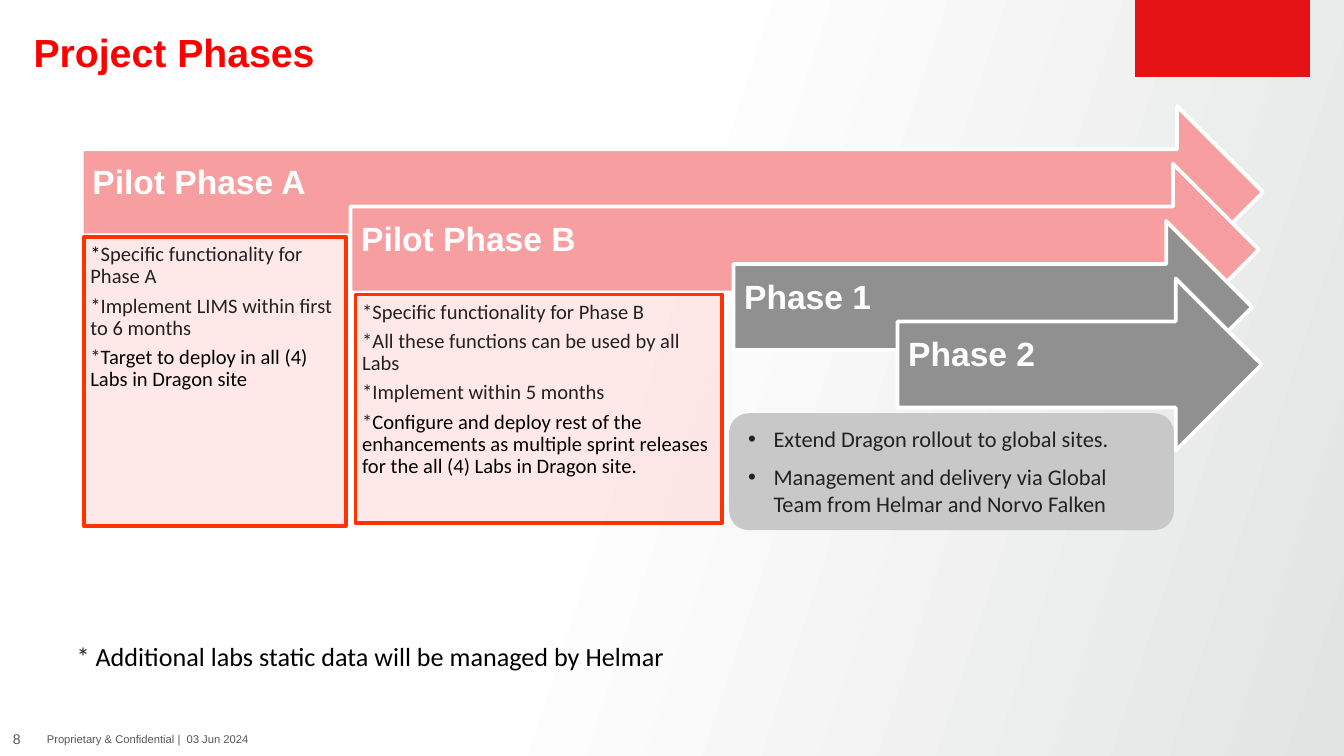
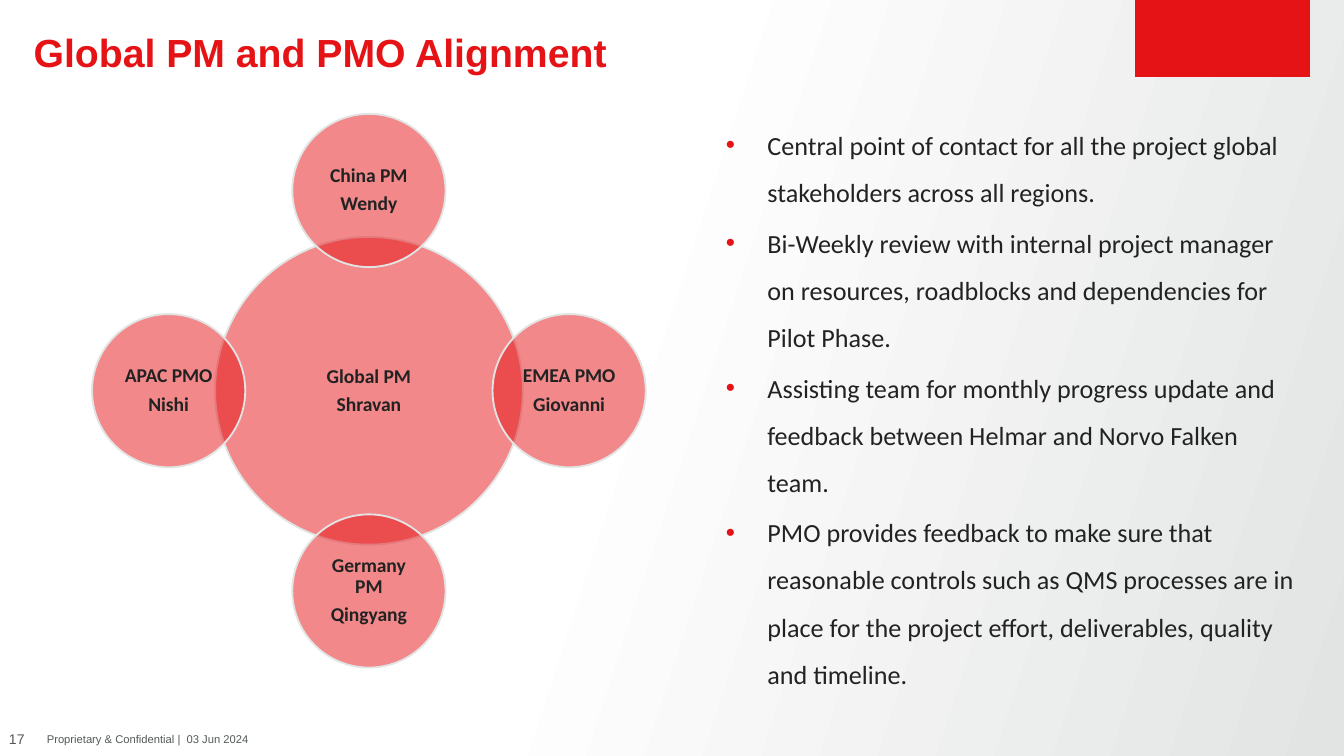
from copy import deepcopy
from dataclasses import dataclass

from lxml import etree
from pptx import Presentation
from pptx import util as u
from pptx.dml.color import RGBColor
from pptx.enum import shapes, text
from pptx.oxml import ns

COLS, ROWS = 40, 22.5
UNIT = u.Inches(0.25)

RED = RGBColor(0xE6, 0x13, 0x16)
PURE_RED = RGBColor(0xFF, 0x00, 0x00)
PINK = RGBColor(0xF7, 0x9F, 0xA0)
BLUSH = RGBColor(0xFF, 0xCC, 0xCC)
ORANGE = RGBColor(0xFF, 0x33, 0x00)
GREY = RGBColor(0x90, 0x90, 0x90)
SILVER = RGBColor(0xC8, 0xC8, 0xC8)
PALE = RGBColor(0xE2, 0xE3, 0xE3)
SLATE = RGBColor(0x54, 0x58, 0x59)
INK = RGBColor(0x22, 0x22, 0x22)
BLACK = RGBColor(0x00, 0x00, 0x00)
WHITE = RGBColor(0xFF, 0xFF, 0xFF)

HEADING, BODY = "Arial", "Calibri"
FOOTER = "Proprietary & Confidential |  03 Jun 2024"
LEFT, CENTER = text.PP_ALIGN.LEFT, text.PP_ALIGN.CENTER
TOP, MIDDLE = text.MSO_ANCHOR.TOP, text.MSO_ANCHOR.MIDDLE
SHAPE = shapes.MSO_SHAPE


@dataclass
class Box:
    x: float
    y: float
    w: float
    h: float

    def sub(self, x, y, w, h):
        return Box(self.x + x, self.y + y, w, h)

    def emu(self):
        return [int(v * UNIT) for v in (self.x, self.y, self.w, self.h)]


def place(sp, box):
    sp.left, sp.top, sp.width, sp.height = box.emu()


def add_bullet(p, indent, color):
    pPr = p._p.get_or_add_pPr()
    pPr.set("marL", str(u.Inches(indent)))
    pPr.set("indent", str(-u.Inches(indent)))
    clr = etree.SubElement(pPr, ns.qn("a:buClr"))
    etree.SubElement(clr, ns.qn("a:srgbClr")).set("val", str(color))
    etree.SubElement(pPr, ns.qn("a:buFont")).set("typeface", "Arial")
    etree.SubElement(pPr, ns.qn("a:buChar")).set("char", "•")


def write(sp, paras, size, color=INK, font=BODY, bold=False, align=LEFT,
          anchor=TOP, insets=(0, 0, 0, 0), wrap=True, line=1.0,
          before=0, after=0, indent=0, bullet=INK):
    tf = sp.text_frame
    tf.auto_size = text.MSO_AUTO_SIZE.NONE
    tf.word_wrap = wrap
    tf.vertical_anchor = anchor
    (tf.margin_left, tf.margin_top,
     tf.margin_right, tf.margin_bottom) = map(u.Inches, insets)
    for i, para in enumerate(paras):
        p = tf.paragraphs[0] if i == 0 else tf.add_paragraph()
        if indent:
            add_bullet(p, indent, bullet)
        p.alignment = align
        p.line_spacing = line
        p.space_before = u.Pt(before if i else 0)
        p.space_after = u.Pt(after)
        pieces = [(para, color)] if isinstance(para, str) else para
        for words, tint in pieces:
            r = p.add_run()
            r.text = words
            r.font.name, r.font.size, r.font.bold = font, u.Pt(size), bold
            r.font.color.rgb = tint


def add_text(s, box, paras, size, **style):
    write(s.shapes.add_textbox(*box.emu()), paras, size, **style)


def add_shape(s, kind, box, fill, line=None, width=1, alpha=None):
    sp = s.shapes.add_shape(kind, *box.emu())
    sp.shadow.inherit = False
    sp.fill.solid()
    sp.fill.fore_color.rgb = fill
    if alpha:
        clr = sp._element.spPr.find(".//" + ns.qn("a:srgbClr"))
        etree.SubElement(clr, ns.qn("a:alpha")).set("val", str(alpha * 1000))
    if line is None:
        sp.line.fill.background()
    else:
        sp.line.color.rgb = line
        sp.line.width = u.Pt(width)
    return sp


def paint_background(master):
    fill = master.background.fill
    fill.gradient()
    fill.gradient_angle = 342
    first, last = fill.gradient_stops
    first.color.rgb, first.position = WHITE, 0
    last.color.rgb, last.position = PALE, 1
    middle = deepcopy(first._gs)
    middle.set("pos", "45000")
    first._gs.addnext(middle)


def add_frame(prs, layout, title, number, color=RED):
    s = prs.slides.add_slide(prs.slide_layouts.get_by_name(layout))
    page = Box(0, 0, COLS, ROWS)
    band = add_shape(s, SHAPE.PARALLELOGRAM, page.sub(33.78, 0, 5.22, 2.28), RED)
    band.adjustments[0] = 0
    place(s.shapes.title, page.sub(1, 1, 32, 1.25))
    write(s.shapes.title, [title], 21, color=color, font=HEADING, bold=True, line=0.9)
    foot = page.sub(0, 21.5, COLS, 1)
    add_text(s, foot.sub(0, 0, 1, 1), [number], 7.5, color=SLATE,
             font=HEADING, align=CENTER, anchor=MIDDLE)
    add_text(s, foot.sub(1, 0, 19, 1), [FOOTER], 6, color=SLATE,
             font=HEADING, anchor=MIDDLE, insets=(0.1, 0.05, 0.1, 0.05))
    return s


def add_phase_arrows(s, box, phases):
    step, height = 1.71, 5.12
    for i, (name, x, width, fill, note) in enumerate(phases):
        lane = box.sub(x, i * step, width, height)
        arrow = add_shape(s, SHAPE.RIGHT_ARROW, lane, fill, WHITE, 2)
        write(arrow, [name], 18, color=WHITE, font=HEADING, bold=True,
              anchor=MIDDLE, insets=(0.08, 0.07, 0.28, 0.2), line=0.9)
        if note:
            dx, w, h, paras = note
            card = add_shape(s, SHAPE.RECTANGLE, lane.sub(dx, 3.9, w, h),
                             BLUSH, ORANGE, 2, alpha=45)
            write(card, paras, 11, insets=(0.05,) * 4, line=0.9, after=3.85)


def add_rollout(s, box, points):
    panel = add_shape(s, SHAPE.ROUNDED_RECTANGLE, box, SILVER)
    write(panel, points, 12, insets=(0.1, 0.05, 0.1, 0.05), after=6, indent=0.19)


def add_hub(s, box, hub, satellites):
    big, small = 9.16, 4.56
    orbit = (box.w - small) / 2
    circles = [(hub, big, 0, 0)]
    turns = [(0, -1), (1, 0), (0, 1), (-1, 0)]
    circles += [(names, small, dx, dy) for names, (dx, dy) in zip(satellites, turns)]
    for names, size, dx, dy in circles:
        spot = box.sub((box.w - size) / 2 + dx * orbit,
                       (box.h - size) / 2 + dy * orbit, size, size)
        sp = add_shape(s, SHAPE.OVAL, spot, RED, PALE, alpha=50)
        write(sp, names, 10.5, bold=True, align=CENTER, anchor=MIDDLE,
              insets=(0.02,) * 4, line=0.9, after=3.7)


def build_phases(prs):
    s = add_frame(prs, "Title Only", "Project Phases", "8", PURE_RED)
    note_a = [
        [("*", BLACK), ("Specific functionality for Phase A", INK)],
        "*Implement LIMS within first to 6 months",
        [("*", INK), ("Target to deploy in all (4) Labs in Dragon site", BLACK)],
    ]
    note_b = [
        "*Specific functionality for Phase B",
        "*All these functions can be used by all Labs",
        "*Implement within 5 months",
        [("*", INK), ("Configure and deploy rest of the enhancements as multiple "
                      "sprint releases for the all (4) Labs in Dragon site.", BLACK)],
    ]
    add_phase_arrows(s, Box(2.43, 3.16, 35.16, 10.24), [
        ("Pilot Phase A", 0, 35.16, PINK, (0.06, 7.8, 8.6, note_a)),
        ("Pilot Phase B", 8, 27.04, PINK, (0.15, 10.92, 6.8, note_b)),
        ("Phase 1", 19.4, 15.44, GREY, None),
        ("Phase 2", 24.28, 10.84, GREY, None),
    ])
    add_text(s, Box(2.28, 18.88, 22.72, 1.8),
             [[("* ", INK),
               ("Additional labs static data will be managed by Helmar", BLACK)]],
             14, wrap=False, line=1.2)
    add_rollout(s, Box(21.7, 12.3, 13.24, 3.48), [
        "Extend Dragon rollout to global sites.",
        "Management and delivery via Global Team from Helmar and Norvo Falken",
    ])


def build_alignment(prs):
    s = add_frame(prs, "Title and Content", "Global PM and PMO Alignment", "17")
    add_hub(s, Box(2.74, 3.39, 16.48, 16.48), ("Global PM", "Shravan"), [
        ("China PM", "Wendy"),
        ("EMEA PMO", "Giovanni"),
        ("Germany PM", "Qingyang"),
        ("APAC PMO", "Nishi"),
    ])
    body = s.placeholders[1]
    place(body, Box(21.6, 3.38, 17.2, 18.12))
    write(body, [
        "Central point of contact for all the project global stakeholders "
        "across all regions.",
        "Bi-Weekly review with internal project manager on resources, "
        "roadblocks and dependencies for Pilot Phase.",
        "Assisting team for monthly progress update and feedback between "
        "Helmar and Norvo Falken team.",
        "PMO provides feedback to make sure that reasonable controls such as "
        "QMS processes are in place for the project effort, deliverables, "
        "quality and timeline.",
    ], 14, line=1.5, before=2, indent=0.31, bullet=RED)


def main():
    prs = Presentation()
    prs.slide_width, prs.slide_height = int(COLS * UNIT), int(ROWS * UNIT)
    paint_background(prs.slide_master)
    build_phases(prs)
    build_alignment(prs)
    prs.save("out.pptx")


if __name__ == "__main__":
    main()
